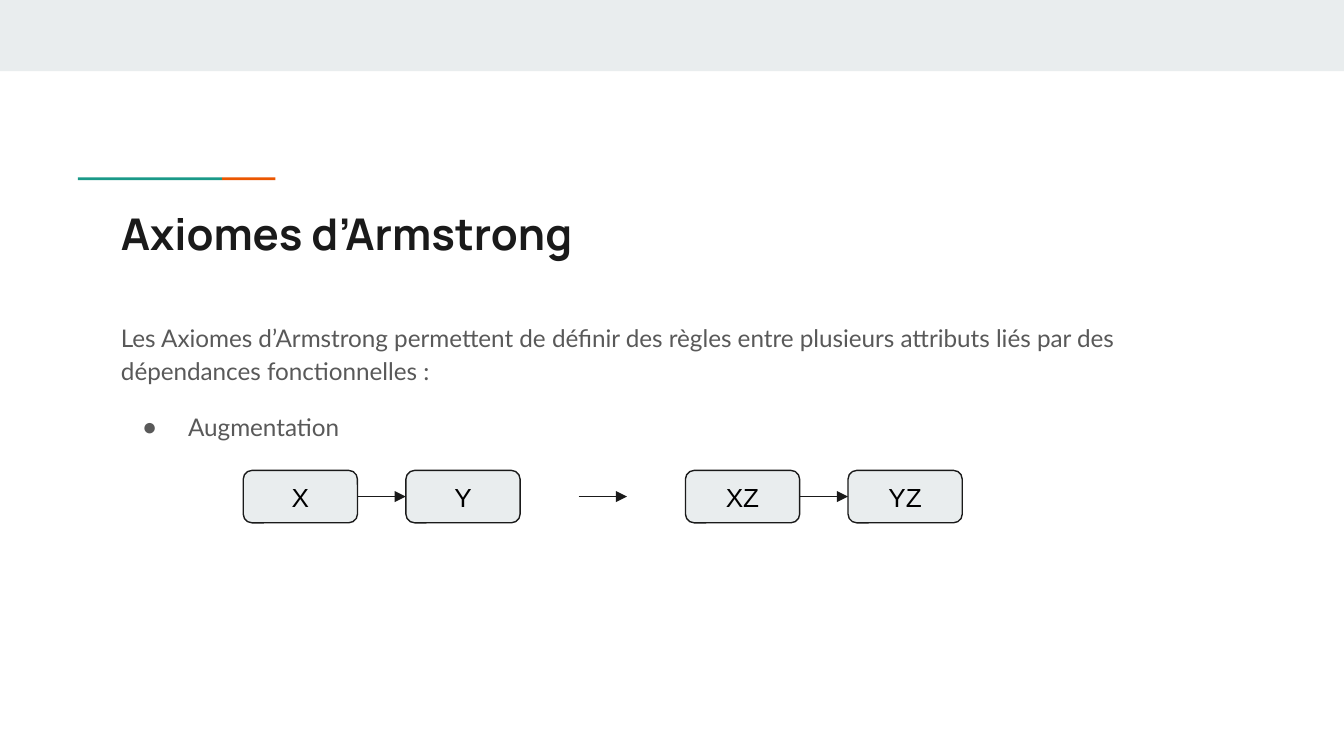
from dataclasses import dataclass

from lxml import etree
from pptx import Presentation
from pptx import util as u
from pptx.dml.color import RGBColor
from pptx.enum import shapes, text
from pptx.oxml.ns import qn


@dataclass(frozen=True)
class Theme:
    ink: str = "1A1A1A"
    body: str = "595959"
    label: str = "000000"
    pale: str = "E9EDEE"
    teal: str = "1A9988"
    coral: str = "EB5600"
    title_pt: float = 23.4
    body_pt: float = 13
    label_pt: float = 14
    line_pt: float = 0.75


T = Theme()
WIDE = 10
HIGH = WIDE * 9 / 16


def rgb(code):
    return RGBColor.from_string(code)


def place(item, box):
    item.left, item.top, item.width, item.height = map(u.Inches, box)


def add_run(para, words, face, size, color, bold=False):
    run = para.add_run()
    run.text = words
    font = run.font
    font.name, font.size, font.bold = face, u.Pt(size), bold
    font.color.rgb = rgb(color)


def set_frame(frame, anchor):
    frame.word_wrap = True
    frame.auto_size = text.MSO_AUTO_SIZE.NONE
    frame.vertical_anchor = anchor
    frame.margin_left = frame.margin_right = u.Inches(0.1)
    frame.margin_top = frame.margin_bottom = u.Inches(0.1)


def add_block(slide, kind, box, fill):
    block = slide.shapes.add_shape(kind, *map(u.Inches, box))
    block.shadow.inherit = False
    block.fill.solid()
    block.fill.fore_color.rgb = rgb(fill)
    block.line.fill.background()
    return block


def add_arrow(slide, x, y, width):
    arrow = slide.shapes.add_connector(
        shapes.MSO_CONNECTOR.STRAIGHT,
        *map(u.Inches, (x, y, x + width, y)))
    arrow.line.color.rgb = rgb(T.ink)
    arrow.line.width = u.Pt(T.line_pt)
    props = arrow._element.spPr
    etree.SubElement(props.get_or_add_ln(), qn("a:tailEnd"), type="triangle")
    etree.SubElement(props, qn("a:effectLst"))


def add_node(slide, box, label):
    node = add_block(slide, shapes.MSO_SHAPE.ROUNDED_RECTANGLE, box, T.pale)
    node.line.color.rgb = rgb(T.ink)
    node.line.width = u.Pt(T.line_pt)
    set_frame(node.text_frame, text.MSO_ANCHOR.MIDDLE)
    para = node.text_frame.paragraphs[0]
    para.alignment = text.PP_ALIGN.CENTER
    add_run(para, label, "Arial", T.label_pt, T.label)


def add_accent(slide, box):
    # Teal takes 73 % of the rule, coral the rest
    x, y, w, h = box
    cut = 0.73 * w
    for left, width, color in ((x, cut, T.teal), (x + cut, w - cut, T.coral)):
        add_block(slide, shapes.MSO_SHAPE.RECTANGLE,
                  (left, y, width, h), color)


def add_title(slide, box, words):
    title = slide.shapes.title
    place(title, box)
    set_frame(title.text_frame, text.MSO_ANCHOR.TOP)
    para = title.text_frame.paragraphs[0]
    para.alignment = text.PP_ALIGN.LEFT
    add_run(para, words, "Manrope", T.title_pt, T.ink, True)


def set_bullet(para, mark=None):
    props = para._p.get_or_add_pPr()
    props.set("marL", str(u.Inches(0.5 if mark else 0)))
    props.set("indent", str(u.Inches(-0.34 if mark else 0)))
    if mark:
        tint = etree.SubElement(props, qn("a:buClr"))
        etree.SubElement(tint, qn("a:srgbClr"), val=T.body)
        etree.SubElement(props, qn("a:buFont"), typeface="Arial")
        etree.SubElement(props, qn("a:buChar"), char=mark)
    else:
        etree.SubElement(props, qn("a:buNone"))


def add_body(slide, box, intro, item):
    body = slide.placeholders[1]
    place(body, box)
    frame = body.text_frame
    set_frame(frame, text.MSO_ANCHOR.TOP)
    rows = ((frame.paragraphs[0], intro, None, 0),
            (frame.add_paragraph(), item, "●", 12))
    for para, words, mark, gap in rows:
        set_bullet(para, mark)
        para.line_spacing = 1.15
        para.space_before = u.Pt(gap)
        add_run(para, words, "Lato", T.body_pt, T.body)


def add_rule(slide, box, pairs):
    # Two pairs of nodes, pushed to the ends, with an arrow between them
    x, y, w, h = box
    node, gap = 0.85, 0.36
    pair = 2 * node + gap
    mid = y + h / 2
    for start, names in zip((x, x + w - pair), pairs):
        for col, name in enumerate(names):
            add_node(slide, (start + col * (node + gap), y, node, h), name)
        add_arrow(slide, start + node, mid, gap)
    add_arrow(slide, x + (w - gap) / 2, mid, gap)


def main():
    deck = Presentation()
    deck.slide_width, deck.slide_height = u.Inches(WIDE), u.Inches(HIGH)
    slide = deck.slides.add_slide(deck.slide_layouts[1])
    left, span = 0.08 * WIDE, 0.841 * WIDE

    # Top band and accent rule
    add_block(slide, shapes.MSO_SHAPE.RECTANGLE, (0, 0, WIDE, 0.53), T.pale)
    add_accent(slide, (0.58, 1.32, 1.47, 0.02))

    # Title and text
    add_title(slide, (left, 1.44, span, 0.59), "Axiomes d’Armstrong")
    add_body(slide, (left, 2.27, span, 2.47),
             "Les Axiomes d’Armstrong permettent de définir des règles entre "
             "plusieurs attributs liés par des dépendances fonctionnelles :",
             "Augmentation")

    # Augmentation diagram
    add_rule(slide, (1.81, 3.5, 5.35, 0.39), (("X", "Y"), ("XZ", "YZ")))
    deck.save("out.pptx")


if __name__ == "__main__":
    main()
